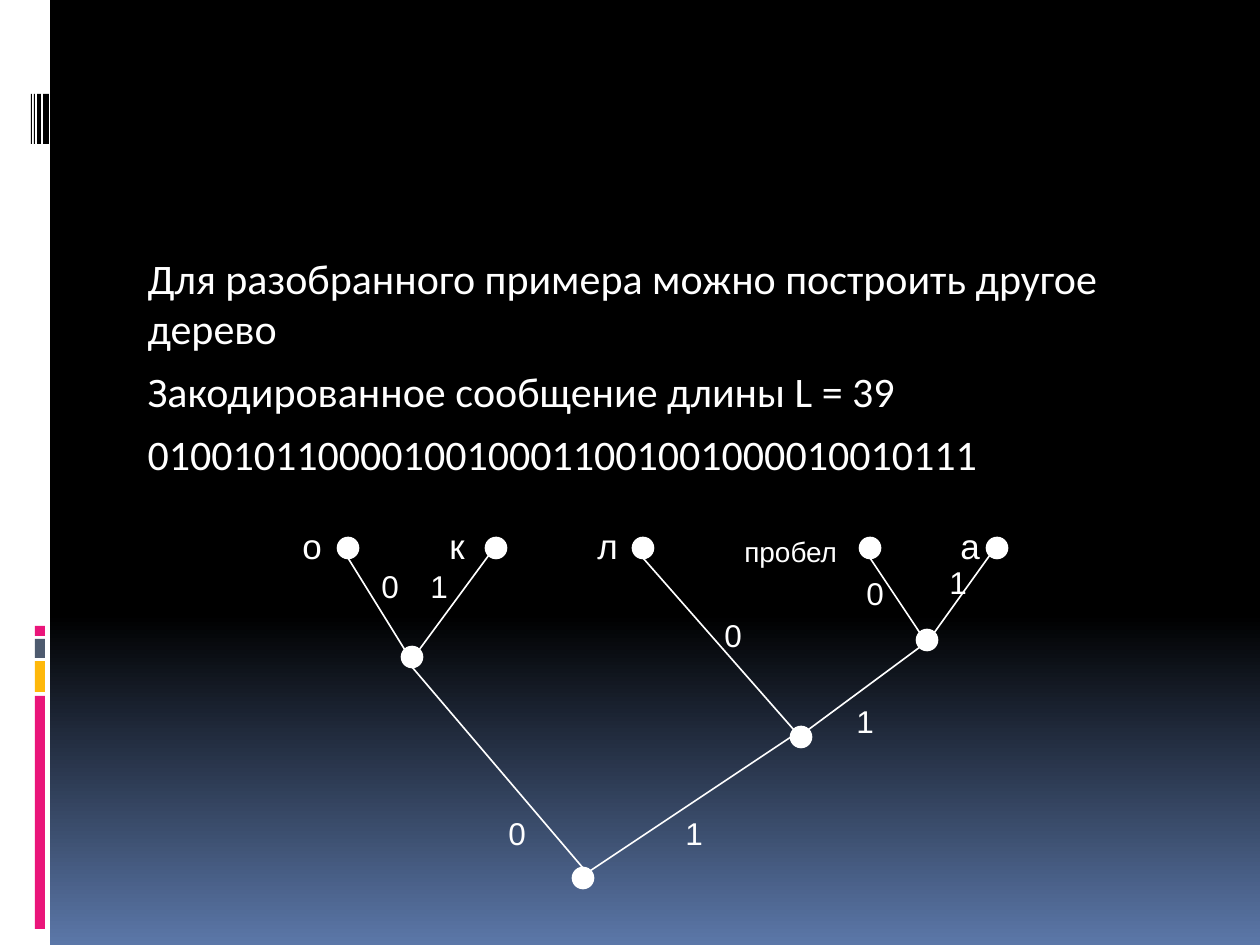
from typing import NamedTuple

from lxml import etree
from pptx import Presentation
from pptx import util as u
from pptx.dml.color import RGBColor
from pptx.enum import shapes, text
from pptx.oxml.ns import qn

WHITE = RGBColor(0xFF, 0xFF, 0xFF)
BLACK = RGBColor(0, 0, 0)
BLUE = RGBColor(0x5B, 0x77, 0xA8)
PINK = RGBColor(0xEA, 0x15, 0x7A)
AMBER = RGBColor(0xFE, 0xB8, 0x0A)
SLATE = RGBColor(0x4E, 0x5B, 0x6F)
SIDE = 20  # node diameter


class Bar(NamedTuple):
    x: int
    y: int
    w: int
    h: int
    color: RGBColor


class Node(NamedTuple):
    x: int
    y: int


class Edge(NamedTuple):
    start: str
    leave: str
    end: str
    enter: str


class Label(NamedTuple):
    words: str
    x: int
    y: int
    w: int = 43
    h: int = 50
    size: int = 18
    wrap: bool = False


BARS = [
    Bar(0, 0, 50, 945, WHITE),
    Bar(35, 696, 10, 233, PINK),
    Bar(35, 661, 10, 31, AMBER),
    Bar(35, 639, 10, 19, SLATE),
    Bar(35, 626, 10, 10, PINK),
    *(Bar(x, 94, w, 50, BLACK) for x, w in ((43, 6), (37, 4), (34, 1), (31, 1))),
]

LEAF = 548
NODES = {
    "о": Node(348, LEAF),
    "к": Node(496, LEAF),
    "л": Node(643, LEAF),
    "пробел": Node(870, LEAF),
    "а": Node(997, LEAF),
    "ок": Node(412, 657),
    "пробел+а": Node(927, 640),
    "л+пробел+а": Node(801, 737),
    "root": Node(583, 878),
}

# Points on a node's rim, as offsets in radii
DIAG = 0.71
RIM = {
    "n": (0, -1), "s": (0, 1), "w": (-1, 0),
    "nw": (-DIAG, -DIAG), "ne": (DIAG, -DIAG), "sw": (-DIAG, DIAG),
}

EDGES = [
    Edge("о", "s", "ок", "nw"),
    Edge("к", "sw", "ок", "ne"),
    Edge("л", "s", "л+пробел+а", "nw"),
    Edge("пробел", "s", "пробел+а", "nw"),
    Edge("а", "sw", "пробел+а", "ne"),
    Edge("пробел+а", "sw", "л+пробел+а", "ne"),
    Edge("root", "ne", "л+пробел+а", "w"),
    Edge("root", "n", "ок", "s"),
]

LABELS = [
    *(Label(c, x, 518, h=55, size=20, wrap=True)
      for c, x in (("о", 290), ("к", 437), ("л", 585), ("а", 948))),
    Label("пробел", 732, 528, w=129, h=47, size=16, wrap=True),
    Label("0", 369, 561), Label("1", 418, 561),
    Label("0", 854, 568), Label("1", 937, 557),
    Label("0", 712, 610), Label("1", 844, 696),
    Label("0", 496, 808), Label("1", 673, 808),
]

LINES = [
    "Для разобранного примера можно построить другое дерево",
    "Закодированное сообщение длины L = 39",
    "010010110000100100011001001000010010111",
]


def px(n: float) -> u.Emu:
    return u.Emu(round(n * 914400 / 126))


def place(shape, x: int, y: int, w: int, h: int) -> None:
    shape.left, shape.top, shape.width, shape.height = map(px, (x, y, w, h))


def write(par, words: str, *, size: int, face: str, color=WHITE) -> None:
    par.text = words
    font = par.runs[0].font
    font.size, font.name = u.Pt(size), face
    font.color.rgb = color


def draw_bar(slide, bar: Bar) -> None:
    shape = slide.shapes.add_shape(shapes.MSO_SHAPE.RECTANGLE, *map(px, bar[:4]))
    shape.shadow.inherit = False
    shape.fill.solid()
    shape.fill.fore_color.rgb = bar.color
    shape.line.fill.background()


def draw_node(slide, node: Node) -> None:
    box = (node.x - SIDE / 2, node.y - SIDE / 2, SIDE, SIDE)
    dot = slide.shapes.add_shape(shapes.MSO_SHAPE.OVAL, *map(px, box))
    dot.shadow.inherit = False
    dot.fill.solid()
    dot.fill.fore_color.rgb = WHITE
    dot.line.color.rgb = WHITE
    dot.line.width = u.Pt(1.5)


def rim(name: str, side: str) -> tuple[u.Emu, u.Emu]:
    node, (dx, dy) = NODES[name], RIM[side]
    return px(node.x + dx * SIDE / 2), px(node.y + dy * SIDE / 2)


def draw_edge(slide, edge: Edge) -> None:
    line = slide.shapes.add_connector(
        shapes.MSO_CONNECTOR.STRAIGHT,
        *rim(edge.start, edge.leave), *rim(edge.end, edge.enter))
    line.line.color.rgb = WHITE
    line.line.width = u.Pt(0.94)
    etree.SubElement(line._element.spPr, qn("a:effectLst"))


def draw_label(slide, label: Label) -> None:
    box = slide.shapes.add_textbox(*map(px, label[1:5]))
    frame = box.text_frame
    frame.word_wrap = label.wrap
    frame.auto_size = text.MSO_AUTO_SIZE.SHAPE_TO_FIT_TEXT
    write(frame.paragraphs[0], label.words, size=label.size, face="Arial")


def fill_body(body) -> None:
    place(body, 126, 246, 1071, 630)
    frame = body.text_frame
    frame.auto_size = text.MSO_AUTO_SIZE.NONE
    for i, words in enumerate(LINES):
        par = frame.add_paragraph() if i else frame.paragraphs[0]
        props = par._p.get_or_add_pPr()
        props.set("marL", str(px(57 if i else 9)))
        props.set("indent", str(px(-48 if i else 0)))
        etree.SubElement(props, qn("a:buNone"))
        par.space_before = u.Pt(7 if i else 0)
        write(par, words, size=24, face="Calibri")


def paint_back(slide) -> None:
    fill = slide.background.fill
    fill.gradient()
    fill.gradient_angle = 270
    for stop, spot, color in zip(fill.gradient_stops, (0.65, 1), (BLACK, BLUE)):
        stop.position = spot
        stop.color.rgb = color


def main() -> None:
    deck = Presentation()
    deck.slide_width, deck.slide_height = px(1260), px(945)
    slide = deck.slides.add_slide(deck.slide_layouts[1])
    title = slide.shapes.title._element
    title.getparent().remove(title)
    paint_back(slide)
    fill_body(slide.placeholders[1])
    for bar in BARS:
        draw_bar(slide, bar)
    for edge in EDGES:
        draw_edge(slide, edge)
    for node in NODES.values():
        draw_node(slide, node)
    for label in LABELS:
        draw_label(slide, label)
    deck.save("out.pptx")


if __name__ == "__main__":
    main()
